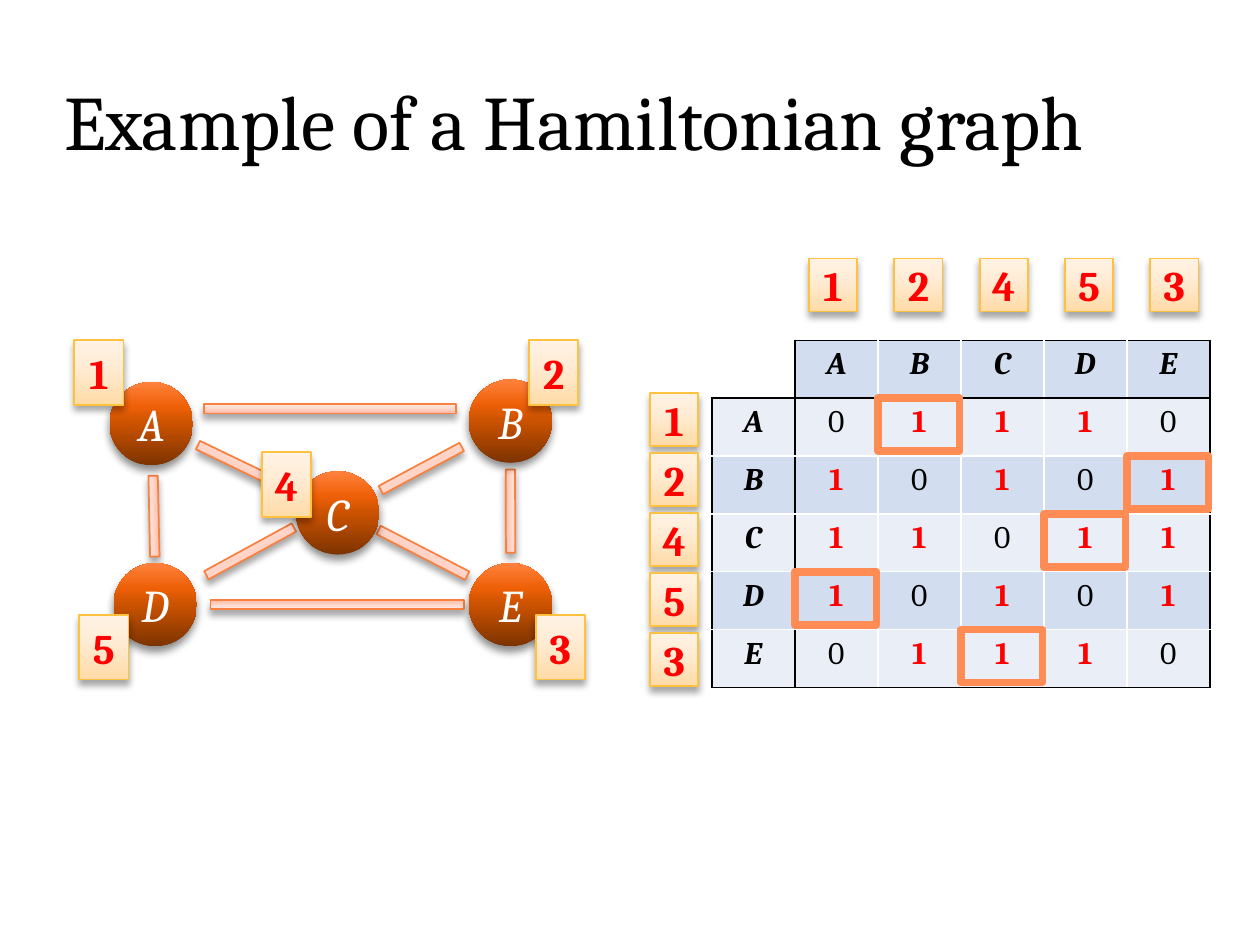
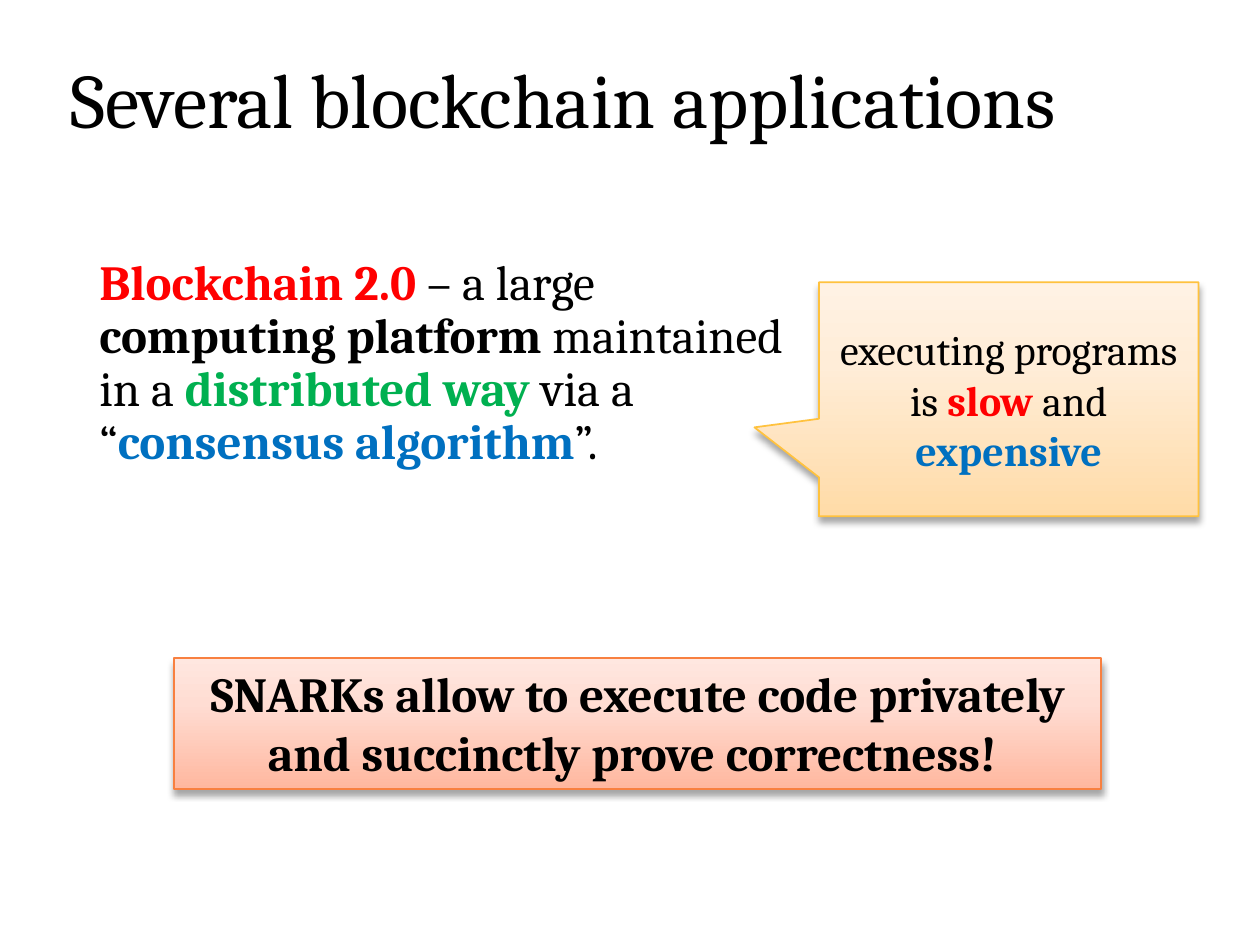
from dataclasses import dataclass
from itertools import product
from lxml.etree import SubElement
from pptx import Presentation
from pptx.dml.color import RGBColor
from pptx.enum.shapes import MSO_SHAPE as Preset
from pptx.enum.text import MSO_ANCHOR as Anchor, MSO_AUTO_SIZE as AutoSize, PP_ALIGN as Align
from pptx.oxml.ns import qn
from pptx.util import Cm, Pt

FONT = "Cambria"
BLACK, WHITE, RED = "000000", "FFFFFF", "FF0000"
GREEN, BLUE, HIGHLIGHT = "00B050", "0070C0", "FF8C55"
BANDS = ("D2DEEF", "EAEFF7")

TABLE_LEFT, TABLE_TOP = 14.35, 6.86
COLUMN_WIDTH, ROW_HEIGHT = 10.04 / 6, 7 / 6


@dataclass(frozen=True)
class Look:
    stops: tuple[tuple[int, str], ...]
    outline: str | None
    blur: int
    opacity: int


@dataclass(frozen=True)
class Frame:
    left: float
    top: float
    width: float
    height: float


@dataclass(frozen=True)
class Span:
    text: str
    colour: str = BLACK
    bold: bool = False


@dataclass(frozen=True)
class Vertex:
    letter: str
    number: int
    left: float
    top: float
    badge_left: float
    badge_top: float


@dataclass(frozen=True)
class Edge:
    ends: str
    left: float
    top: float
    length: float
    rotation: float = 0


AMBER = Look(((0, "FFDBA7"), (65, "FFEDD8"), (100, "FFF2E4")), "FFC23E", 4, 35)
CORAL = Look(((0, "FFB79F"), (65, "FFDDD3"), (100, "FFE7E0")), "F88040", 4, 35)
EMBER = Look(((0, "7D3300"), (50, "CA5200"), (70, "EE6007"), (100, "FF823D")), None, 5, 45)

VERTICES = (
    Vertex("A", 1, 2.21, 7.7, 1.5, 6.86),
    Vertex("B", 2, 9.45, 7.65, 10.67, 6.86),
    Vertex("C", 4, 5.97, 9.5, 5.28, 9.12),
    Vertex("D", 5, 2.29, 11.35, 1.6, 12.4),
    Vertex("E", 3, 9.45, 11.35, 10.8, 12.4),
)
EDGES = (
    Edge("BC", 7.57, 9.35, 1.85, 331.9),
    Edge("BE", 9.45, 10.21, 1.68, 89.8),
    Edge("DE", 4.24, 12.09, 5.11, 180),
    Edge("AD", 2.29, 10.31, 1.63, 268.8),
    Edge("AC", 3.89, 9.32, 2.03, 25.7),
    Edge("AB", 4.11, 8.15, 5.08),
    Edge("CD", 4.04, 11.02, 2.01, 331.4),
    Edge("CE", 7.52, 11.05, 2.01, 27.3),
)


def rgb(colour: str) -> RGBColor:
    return RGBColor.from_string(colour)


def set_font(font, size=None, colour=None, bold=None, italic=None) -> None:
    if size:
        font.name, font.size = FONT, Pt(size)
    if colour:
        font.color.rgb = rgb(colour)
    font.bold, font.italic = bold, italic


def place(shape, frame: Frame) -> None:
    shape.left, shape.top = Cm(frame.left), Cm(frame.top)
    shape.width, shape.height = Cm(frame.width), Cm(frame.height)


def add_shape(slide, preset, frame: Frame):
    shape = slide.shapes.add_shape(
        preset, Cm(frame.left), Cm(frame.top), Cm(frame.width), Cm(frame.height))
    shape.shadow.inherit = False
    return shape


def add_glossy(slide, preset, frame: Frame, look: Look):
    shape = add_shape(slide, preset, frame)
    shape.fill.gradient()
    shape.fill.gradient_angle = 90
    properties = shape._element.spPr
    stop_list = properties.find(".//" + qn("a:gsLst"))
    for stop in list(stop_list):
        stop_list.remove(stop)
    for position, colour in look.stops:
        stop = SubElement(stop_list, qn("a:gs"), pos=str(position * 1000))
        SubElement(stop, qn("a:srgbClr"), val=colour)
    if look.outline:
        shape.line.color.rgb = rgb(look.outline)
        shape.line.width = Pt(1)
    else:
        shape.line.fill.background()
    shadow = SubElement(
        properties.find(qn("a:effectLst")), qn("a:outerShdw"), blurRad=str(Pt(look.blur)),
        dist=str(Pt(3)), dir="5400000", rotWithShape="0")
    shade = SubElement(shadow, qn("a:srgbClr"), val=BLACK)
    SubElement(shade, qn("a:alpha"), val=str(look.opacity * 1000))
    return shape


def write_label(shape, text: str, size: int, colour: str, bold=False, italic=False) -> None:
    frame = shape.text_frame
    frame.margin_left = frame.margin_right = frame.margin_top = frame.margin_bottom = 0
    para = frame.paragraphs[0]
    para.text, para.alignment = text, Align.CENTER
    set_font(para.font, size, colour, bold, italic)


def write_spans(para, size: int, spans: tuple[Span, ...]) -> None:
    set_font(para.font, size)
    for span in spans:
        run = para.add_run()
        run.text = span.text
        set_font(run.font, colour=span.colour, bold=span.bold)


def add_badge(slide, number: int, frame: Frame) -> None:
    badge = add_glossy(slide, Preset.RECTANGLE, frame, AMBER)
    write_label(badge, str(number), 24, RED, bold=True)


def set_title(slide, text: str, frame: Frame) -> None:
    title = slide.shapes.title
    place(title, frame)
    title.text_frame.auto_size = AutoSize.NONE
    title.text_frame.vertical_anchor = Anchor.MIDDLE
    para = title.text_frame.paragraphs[0]
    para.text, para.alignment, para.line_spacing = text, Align.LEFT, 0.9
    set_font(para.font, 44, BLACK)


def set_borders(cell, row: int, column: int) -> None:
    corner = row == column == 0
    ruled = {
        "L": column in (0, 1) and not corner,
        "R": column in (0, 5),
        "T": row in (0, 1) and not corner,
        "B": row in (0, 5),
    }
    properties = cell._tc.get_or_add_tcPr()
    for side, black in ruled.items():
        line = SubElement(properties, qn(f"a:ln{side}"), w=str(Pt(1)))
        fill = SubElement(line, qn("a:solidFill"))
        SubElement(fill, qn("a:srgbClr"), val=BLACK if black else WHITE)


def add_matrix(slide) -> None:
    letters = [vertex.letter for vertex in VERTICES]
    adjacent = {frozenset(edge.ends) for edge in EDGES}
    count = len(letters) + 1
    table = slide.shapes.add_table(
        count, count, Cm(TABLE_LEFT), Cm(TABLE_TOP),
        Cm(COLUMN_WIDTH * count), Cm(ROW_HEIGHT * count)).table
    for line in table.rows:
        line.height = Cm(ROW_HEIGHT)
    for row, column in product(range(count), repeat=2):
        cell = table.cell(row, column)
        set_borders(cell, row, column)
        cell.fill.solid()
        cell.fill.fore_color.rgb = rgb(BANDS[row % 2] if row or column else WHITE)
        if row == column == 0:
            continue
        para = cell.text_frame.paragraphs[0]
        para.alignment = Align.CENTER
        header = row == 0 or column == 0
        if header:
            para.text, linked = letters[max(row, column) - 1], False
        else:
            linked = frozenset((letters[row - 1], letters[column - 1])) in adjacent
            para.text = "1" if linked else "0"
        set_font(para.font, 18, RED if linked else BLACK, header or linked, header)


def add_cycle(slide) -> None:
    ordered = sorted(VERTICES, key=lambda vertex: vertex.number)
    for start, end in zip(ordered, ordered[1:] + ordered[:1]):
        row, column = VERTICES.index(start) + 1, VERTICES.index(end) + 1
        box = add_shape(slide, Preset.RECTANGLE, Frame(
            TABLE_LEFT + column * COLUMN_WIDTH, TABLE_TOP + row * ROW_HEIGHT, 1.65, 1.07))
        box.fill.background()
        box.line.color.rgb = rgb(HIGHLIGHT)
        box.line.width = Pt(4.33)


def build_graph_slide(deck) -> None:
    slide = deck.slides.add_slide(deck.slide_layouts[5])
    set_title(slide, "Example of a Hamiltonian graph", Frame(1.04, 0.69, 21.89, 3.68))
    add_matrix(slide)
    for edge in EDGES:
        bar = add_glossy(
            slide, Preset.RECTANGLE, Frame(edge.left, edge.top, edge.length, 0.19), CORAL)
        bar.rotation = edge.rotation
    for vertex in VERTICES:
        node = add_glossy(
            slide, Preset.OVAL, Frame(vertex.left, vertex.top, 1.68, 1.68), EMBER)
        write_label(node, vertex.letter, 26, WHITE, italic=True)
    for index, vertex in enumerate(VERTICES):
        add_badge(slide, vertex.number, Frame(vertex.badge_left, vertex.badge_top, 0.99, 1.3))
        add_badge(slide, vertex.number, Frame(13.11, 7.92 + 1.21 * index, 0.97, 1.07))
        add_badge(slide, vertex.number, Frame(16.31 + 1.72 * index, 5.21, 0.97, 1.07))
    add_cycle(slide)


def build_blockchain_slide(deck) -> None:
    slide = deck.slides.add_slide(deck.slide_layouts[1])
    set_title(slide, "Several blockchain applications", Frame(1.17, 0.58, 23.65, 3.02))

    body = slide.placeholders[1]
    place(body, Frame(1.75, 5.08, 14.48, 5.13))
    body.text_frame.auto_size = AutoSize.NONE
    para = body.text_frame.paragraphs[0]
    properties = para._p.get_or_add_pPr()
    properties.set("marL", "0")
    properties.set("indent", "0")
    SubElement(properties, qn("a:buNone"))
    para.line_spacing, para.space_before = 0.9, Pt(0)
    write_spans(para, 28, (
        Span("Blockchain 2.0 ", RED, True),
        Span("– a large "),
        Span("computing platform ", bold=True),
        Span("maintained in a "),
        Span("distributed way ", GREEN, True),
        Span("via a “"),
        Span("consensus algorithm", BLUE, True),
        Span("”."),
    ))

    callout = add_glossy(
        slide, Preset.RECTANGULAR_CALLOUT, Frame(16.51, 5.69, 7.65, 4.72), AMBER)
    callout.adjustments[0], callout.adjustments[1] = -0.67, 0.12
    para = callout.text_frame.paragraphs[0]
    para.alignment = Align.CENTER
    write_spans(para, 24, (
        Span("executing programs is "),
        Span("slow", RED, True),
        Span(" and "),
        Span("expensive", BLUE, True),
    ))

    banner = add_glossy(slide, Preset.RECTANGLE, Frame(3.51, 13.26, 18.69, 2.64), CORAL)
    banner.text_frame.vertical_anchor = Anchor.TOP
    para = banner.text_frame.paragraphs[0]
    para.text = "SNARKs allow to execute code privately and succinctly prove correctness! "
    para.alignment = Align.CENTER
    set_font(para.font, 28, BLACK, True)


def main() -> None:
    deck = Presentation()
    deck.slide_width, deck.slide_height = Cm(25.4), Cm(19.05)
    build_graph_slide(deck)
    build_blockchain_slide(deck)
    deck.save("out.pptx")


if __name__ == "__main__":
    main()
